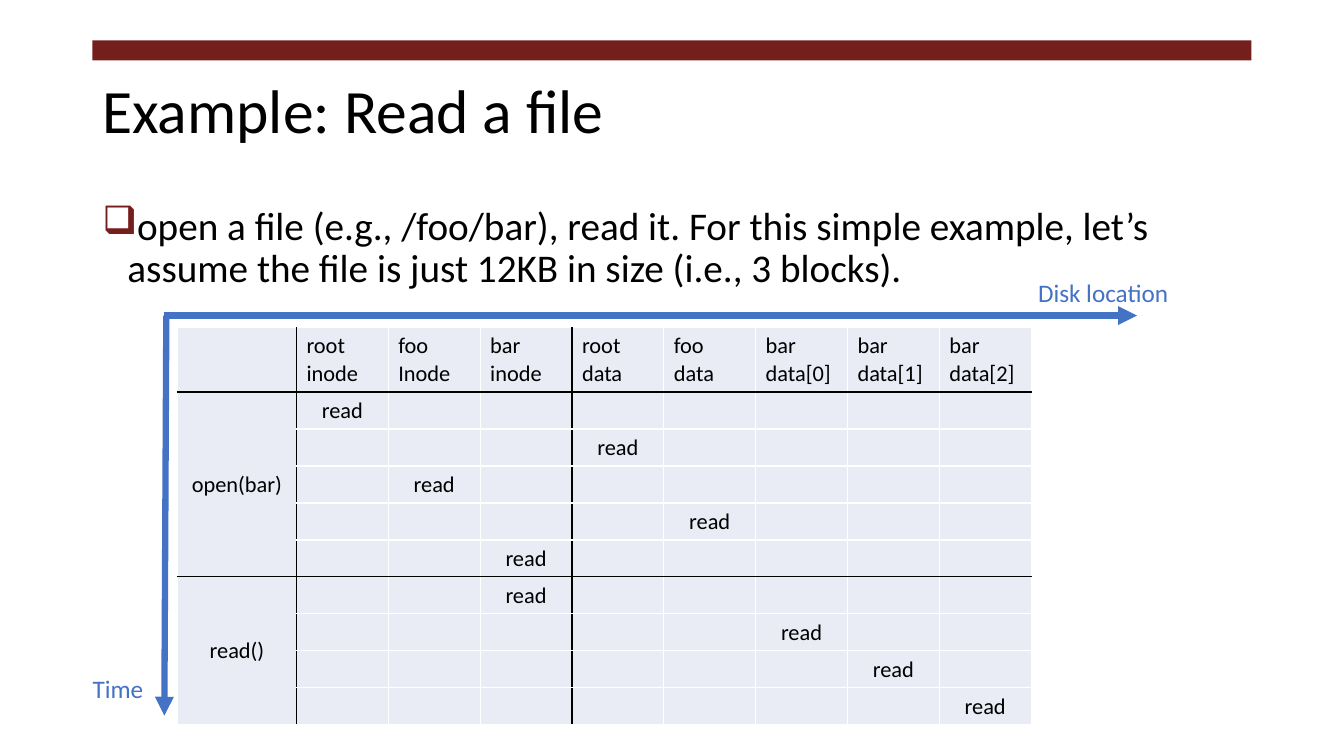
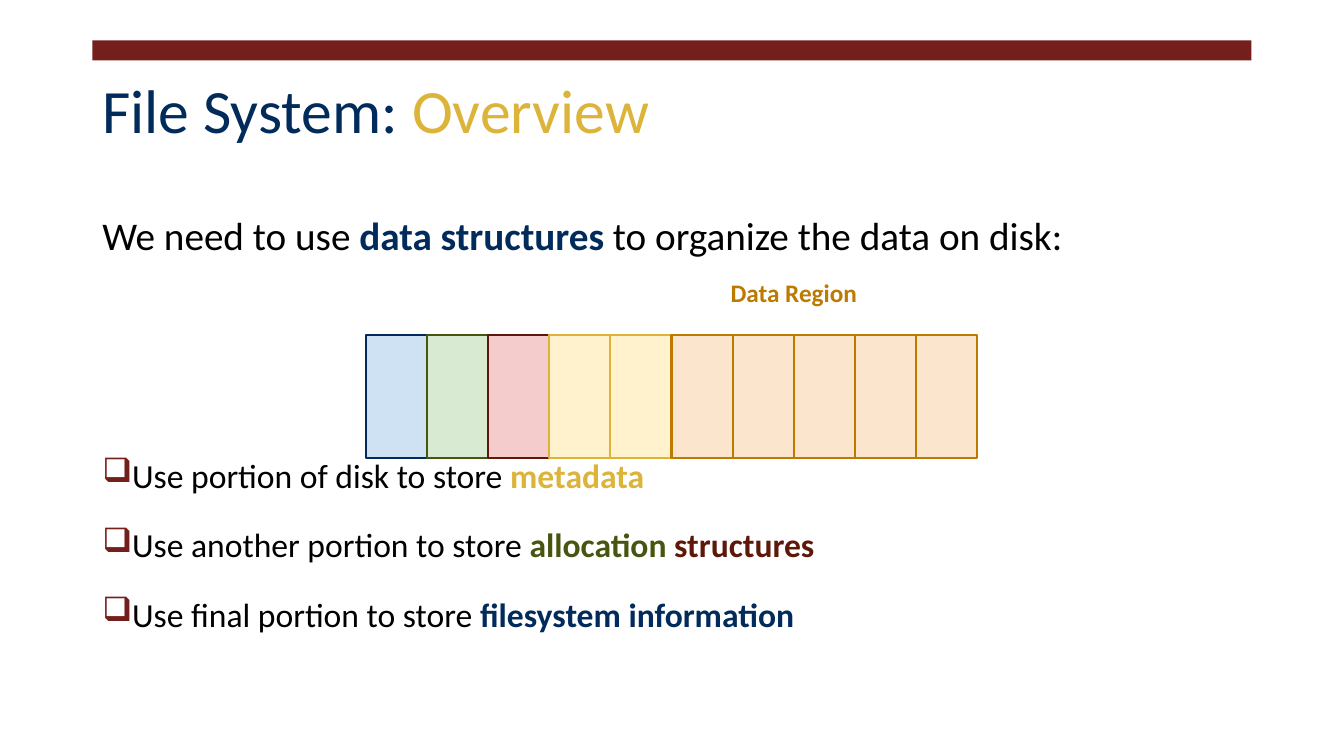
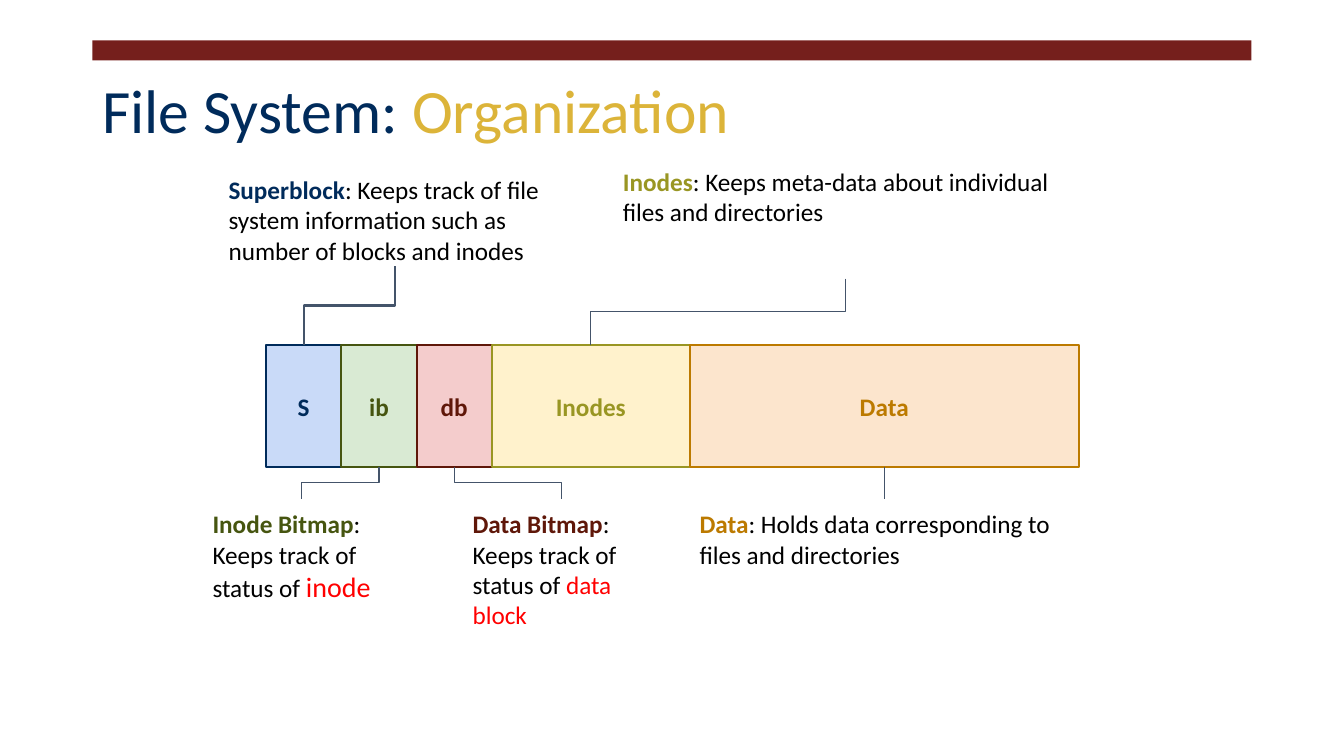
from lxml import etree
from pptx import Presentation
from pptx import util as u
from pptx.dml.color import RGBColor
from pptx.enum import shapes, text
from pptx.oxml import ns

Pt = u.Pt
FONT = "Calibri"
BLACK = RGBColor(0x00, 0x00, 0x00)
WHITE = RGBColor(0xFF, 0xFF, 0xFF)
RED = RGBColor(0xFF, 0x00, 0x00)
MAROON = RGBColor(0x75, 0x1F, 0x1C)
NAVY = RGBColor(0x00, 0x2B, 0x5B)
GOLD = RGBColor(0xDC, 0xB4, 0x39)
OLIVE = RGBColor(0x99, 0x96, 0x23)
GREEN = RGBColor(0x46, 0x55, 0x10)
BROWN = RGBColor(0x5F, 0x17, 0x09)
ORANGE = RGBColor(0xBC, 0x7A, 0x00)
BLUE = RGBColor(0x44, 0x72, 0xC4)
SLATE = RGBColor(0x44, 0x54, 0x6A)
PALE_BLUE = RGBColor(0xCF, 0xE2, 0xF3)
SKY = RGBColor(0xC9, 0xDA, 0xF8)
PALE_GREEN = RGBColor(0xD9, 0xEA, 0xD3)
PALE_RED = RGBColor(0xF4, 0xCC, 0xCC)
PALE_YELLOW = RGBColor(0xFF, 0xF2, 0xCC)
PALE_ORANGE = RGBColor(0xFC, 0xE5, 0xCD)
CELL_FILL = RGBColor(0xE9, 0xEB, 0xF5)
LEFT, CENTER = text.PP_ALIGN.LEFT, text.PP_ALIGN.CENTER
TOP, MIDDLE = text.MSO_ANCHOR.TOP, text.MSO_ANCHOR.MIDDLE


def add_box(s, x, y, w, h, fill=None, line=None):
    """Add a rectangle, or a text box when there is no fill."""
    pos = Pt(x), Pt(y), Pt(w), Pt(h)
    if fill is None:
        return s.shapes.add_textbox(*pos)
    sp = s.shapes.add_shape(shapes.MSO_SHAPE.RECTANGLE, *pos)
    sp.shadow.inherit = False
    sp.fill.solid()
    sp.fill.fore_color.rgb = fill
    if line is None:
        sp.line.fill.background()
    else:
        sp.line.color.rgb = line
        sp.line.width = Pt(1.5)
    return sp


def put_text(tf, paragraphs, size, align=LEFT, anchor=TOP, spacing=1.0, inset=7.2):
    """Fill a frame; a run is (text, colour, bold) and may add its own size."""
    frame = {"word_wrap": True, "vertical_anchor": anchor,
             "margin_left": Pt(7.2), "margin_right": Pt(7.2),
             "margin_top": Pt(inset), "margin_bottom": Pt(inset)}
    for name, value in frame.items():
        setattr(tf, name, value)
    for i, runs in enumerate(paragraphs):
        p = tf.add_paragraph() if i else tf.paragraphs[0]
        p.alignment = align
        p.line_spacing = spacing
        for words, color, bold, *own_size in runs:
            r = p.add_run()
            r.text = words
            r.font.color.rgb = color
            font = {"name": FONT, "bold": bold, "size": Pt(own_size[0] if own_size else size)}
            for name, value in font.items():
                setattr(r.font, name, value)
    return tf.paragraphs


prs = Presentation()
prs.slide_width, prs.slide_height = Pt(960), Pt(540)
TITLES = [
    [("Example: Read a file", BLACK, False)],
    [("File System: ", NAVY, False), ("Overview", GOLD, False)],
    [("File System: ", NAVY, False), ("Organization", GOLD, False)],
]
for title in TITLES:
    s = prs.slides.add_slide(prs.slide_layouts[6])
    add_box(s, 66, 28.8, 828, 14.4, MAROON)
    sp = add_box(s, 66, 28.8, 828, 104.4)
    put_text(sp.text_frame, [title], 44, anchor=MIDDLE, spacing=0.9)
reading, overview, organization = prs.slides
bullets = []  # (paragraph, first-line indent)
lines = []  # (connector, colour, width, has arrowhead)

# Reading a file: accesses by time and disk location
sp = add_box(reading, 66, 144, 828, 385)
ps = put_text(sp.text_frame, [[
    ("open a file (e.g., /foo/bar), read it. For this simple example, let’s assume "
     "the file is just 12KB in size (i.e., 3 blocks).", BLACK, False)]],
    28, spacing=0.9, inset=3.6)
bullets.append((ps[0], -18))

for x1, y1, x2, y2 in [(118.8, 225.4, 117.4, 511.2), (117.4, 225.4, 812.2, 225.4)]:
    axis = reading.shapes.add_connector(
        shapes.MSO_CONNECTOR.STRAIGHT, Pt(x1), Pt(y1), Pt(x2), Pt(y2))
    lines.append((axis, BLUE, 4.5, True))
for label, x, y, w in [("Time", 59, 477.4, 60), ("Disk location", 734.4, 194.4, 119.5)]:
    sp = add_box(reading, x, y, w, 29)
    put_text(sp.text_frame, [[(label, BLUE, False)]], 18, inset=3.6)

HEADERS = ["", "root inode", "foo Inode", "bar inode", "root data", "foo data",
           "bar data[0]", "bar data[1]", "bar data[2]"]
READ_COLUMNS = [1, 4, 2, 5, 3, 3, 6, 7, 8]
CALLS = {1: ("open(bar)", 5), 6: ("read()", 9)}
table = reading.shapes.add_table(
    10, 9, Pt(126.8), Pt(234), Pt(609.8), Pt(283.6)).table
table.first_row = table.horz_banding = False
for c, column in enumerate(table.columns):
    column.width = Pt(65.6 if c else 85)
for r, row in enumerate(table.rows):
    row.height = Pt(26.4 if r else 46)
for first, (call, last) in CALLS.items():
    table.cell(first, 0).merge(table.cell(last, 0))

for r in range(10):
    for c in range(9):
        cell = table.cell(r, c)
        bottom = r + cell.span_height - 1
        black_sides = {"lnL": c in (1, 4), "lnR": c in (0, 3),
                       "lnT": r in (1, 6), "lnB": bottom in (0, 5)}
        tcPr = cell._tc.get_or_add_tcPr()
        for side, black in black_sides.items():
            ln = etree.SubElement(tcPr, ns.qn("a:" + side), w="12700")
            fill = etree.SubElement(ln, ns.qn("a:solidFill"))
            etree.SubElement(fill, ns.qn("a:srgbClr"), val=str(BLACK if black else WHITE))
        cell.fill.solid()
        cell.fill.fore_color.rgb = CELL_FILL
        if r == 0:
            words = HEADERS[c].split()
        elif c == 0:
            words = [CALLS[r][0]] if r in CALLS else []
        else:
            words = ["read"] if READ_COLUMNS[r - 1] == c else []
        if words:
            put_text(cell.text_frame, [[(word, BLACK, False)] for word in words], 16,
                     align=CENTER if r else LEFT, inset=3.6)
            cell.vertical_anchor = MIDDLE if r else TOP
        else:
            etree.SubElement(cell.text_frame.paragraphs[0]._p,
                             ns.qn("a:endParaRPr"), sz="1600")

# Overview: a disk divided into equal blocks
sp = add_box(overview, 66, 144, 828, 385)
ps = put_text(sp.text_frame, [
    [("We need to use ", BLACK, False), ("data structures", NAVY, True),
     (" to organize the data on disk:", BLACK, False)],
    [("Use portion of disk to store ", BLACK, False, 24), ("metadata", GOLD, True, 24)],
    [("Use another portion to store ", BLACK, False, 24),
     ("allocation ", GREEN, True, 24), ("structures", BROWN, True, 24)],
    [("Use final portion to store ", BLACK, False, 24),
     ("filesystem information", NAVY, True, 24)],
], 28)
for p, gap in zip(ps[1:], (140, 20.8, 20.8)):
    p.space_before = Pt(gap)
    bullets.append((p, -30))

DISK_BLOCKS = ([(PALE_BLUE, NAVY), (PALE_GREEN, GREEN), (PALE_RED, BROWN)]
               + [(PALE_YELLOW, GOLD)] * 2 + [(PALE_ORANGE, ORANGE)] * 5)
for i, (fill, line) in enumerate(DISK_BLOCKS):
    add_box(overview, 261.2 + i * 43.7, 239.5, 43.7, 87.4, fill, line)
sp = add_box(overview, 436, 178.5, 262, 61)
put_text(sp.text_frame, [[("Data Region", ORANGE, True)]], 18, CENTER, MIDDLE)

# Organization: the regions of the disk, each with a note
REGIONS = [  # label, width, fill, colour, note box, note runs, connector width
    ("S", 53.8, SKY, NAVY, (156.2, 117.4, 251.3, 72.7),
     [("Superblock", NAVY, True),
      (": Keeps track of file system information such as number of blocks and inodes",
       BLACK, False)], 1.5),
    ("ib", 53.8, PALE_GREEN, GREEN, (144.7, 356.2, 141.2, 145),
     [("Inode Bitmap", GREEN, True), (": Keeps track of status of ", BLACK, False),
      ("inode", RED, False, 20)], 0.75),
    ("db", 53.8, PALE_RED, BROWN, (330.5, 356.2, 141.2, 145),
     [("Data Bitmap", BROWN, True), (": Keeps track of status of ", BLACK, False),
      ("data block", RED, False)], 0.75),
    ("Inodes", 141.2, PALE_YELLOW, OLIVE, (437.8, 111.6, 332.6, 87.4),
     [("Inodes", OLIVE, True),
      (": Keeps meta-data about individual files and directories", BLACK, False)], 0.75),
    ("Data", 278, PALE_ORANGE, ORANGE, (492.6, 356.2, 278, 87.4),
     [("Data", ORANGE, True),
      (": Holds data corresponding to files and directories", BLACK, False)], 0.75),
]
x, y, h = 190, 246.4, 87.4
for label, w, fill, color, note_box, note_runs, weight in REGIONS:
    block = add_box(organization, x, y, w, h, fill, color)
    put_text(block.text_frame, [[(label, color, True)]], 18, CENTER, MIDDLE)
    note = add_box(organization, *note_box)
    put_text(note.text_frame, [note_runs], 18)

    note_x, note_y, note_w, note_h = note_box
    block_mid, note_mid = x + w / 2, note_x + note_w / 2
    if note_y < y:
        x1, y1, x2, y2 = note_mid, note_y + note_h, block_mid, y
    else:
        x1, y1, x2, y2 = block_mid, y + h, note_mid, note_y
    if abs(x2 - x1) < 0.1:
        link = organization.shapes.add_connector(
            shapes.MSO_CONNECTOR.STRAIGHT, Pt(x1), Pt(y1), Pt(x2), Pt(y2))
        link.begin_connect(block, 2)
        link.end_connect(note, 0)
    else:
        # A quarter turn makes the elbow leave and arrive vertically.
        mid_x, mid_y = (x1 + x2) / 2, (y1 + y2) / 2
        half_w, half_h = (y2 - y1) / 2, (x1 - x2) / 2
        link = organization.shapes.add_connector(
            shapes.MSO_CONNECTOR.ELBOW, Pt(mid_x - half_w), Pt(mid_y - half_h),
            Pt(mid_x + half_w), Pt(mid_y + half_h))
        link._element.spPr.find(ns.qn("a:xfrm")).set("rot", "5400000")
    lines.append((link, SLATE, weight, False))
    x += w

for p, indent in bullets:
    pPr = p._p.get_or_add_pPr()
    pPr.set("marL", str(Pt(18)))
    pPr.set("indent", str(Pt(indent)))
    bullet_color = etree.SubElement(pPr, ns.qn("a:buClr"))
    etree.SubElement(bullet_color, ns.qn("a:srgbClr"), val=str(MAROON))
    etree.SubElement(pPr, ns.qn("a:buChar"), char="❑")

for connector, color, width, arrow in lines:
    connector.line.color.rgb = color
    connector.line.width = Pt(width)
    spPr = connector._element.spPr
    if arrow:
        etree.SubElement(spPr.find(ns.qn("a:ln")), ns.qn("a:tailEnd"), type="triangle")
    etree.SubElement(spPr, ns.qn("a:effectLst"))

prs.save("out.pptx")
